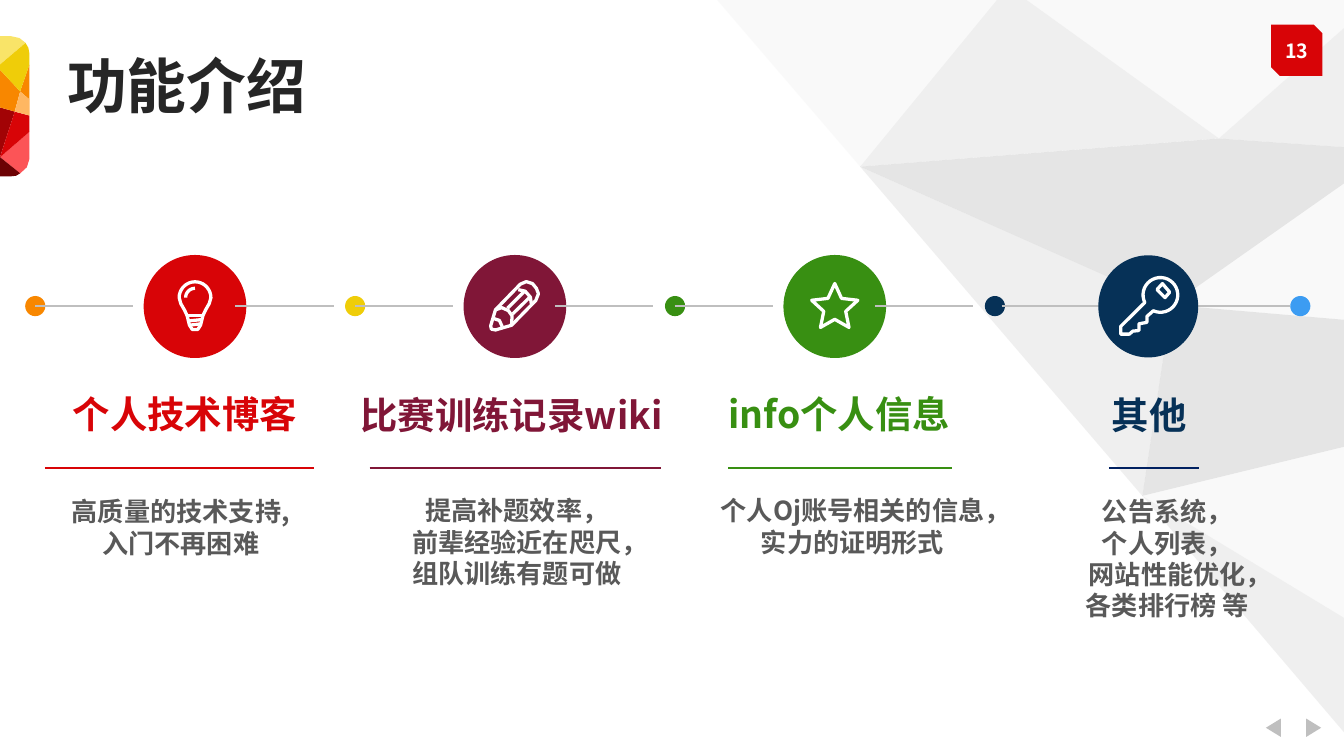
"""Build the feature introduction slide with its four-stage timeline."""
from dataclasses import dataclass
from math import cos, radians, sin

from lxml.etree import SubElement
from pptx import Presentation
from pptx.dml.color import RGBColor
from pptx.enum.shapes import MSO_CONNECTOR, MSO_SHAPE
from pptx.enum.text import MSO_ANCHOR, PP_ALIGN
from pptx.oxml.ns import qn
from pptx.util import Pt

FONT = "Noto Sans CJK SC"
WHITE, RED, WINE, GREEN, NAVY = "FFFFFF", "D80407", "801637", "388F12", "063157"
ORANGE, YELLOW, SKY, SILVER = "F88700", "EFCD09", "3C9CF2", "BFBFBF"
AXIS_Y, RULE_Y, PITCH = 164, 250.6, 171.36
Point = tuple[float, float]
Box = tuple[float, float, float, float]


@dataclass
class Facet:
    color: str
    corners: list[Point]


@dataclass
class Stroke:
    points: list[Point]
    closed: bool = False


@dataclass
class Stage:
    heading: str
    color: str
    rule_color: str
    rule: Point
    heading_box: Box
    details: list[str]
    details_box: Box
    badge: Box
    icon: list[Stroke]


def paint(target, color: str) -> None:
    target.solid()
    target.fore_color.rgb = RGBColor.from_string(color)


def arc(center: Point, radius: float, start: int, end: int) -> list[Point]:
    return [(center[0] + radius * cos(radians(a)), center[1] + radius * sin(radians(a)))
            for a in range(start, end + 1, 10)]


def draw_outline(shapes, points: list[Point], closed: bool = True):
    (x, y), *rest = points
    builder = shapes.build_freeform(Pt(x), Pt(y))
    builder.add_line_segments([(Pt(a), Pt(b)) for a, b in rest], close=closed)
    outline = builder.convert_to_shape()
    outline.shadow.inherit = False
    return outline


def draw_facet(shapes, facet: Facet, opacity: int = 100) -> None:
    polygon = draw_outline(shapes, facet.corners)
    paint(polygon.fill, facet.color)
    polygon.line.fill.background()
    if opacity < 100:
        tint = polygon.fill._xPr.find(".//" + qn("a:srgbClr"))
        SubElement(tint, qn("a:alpha"), val=str(opacity * 1000))


def draw_preset(shapes, kind: MSO_SHAPE, box: Box, color: str):
    preset = shapes.add_shape(kind, *map(Pt, box))
    preset.shadow.inherit = False
    paint(preset.fill, color)
    preset.line.fill.background()
    return preset


def draw_line(shapes, left: float, right: float, y: float, color: str) -> None:
    line = shapes.add_connector(MSO_CONNECTOR.STRAIGHT, Pt(left), Pt(y), Pt(right), Pt(y))
    paint(line.line.fill, color)
    line.line.width = Pt(1)
    SubElement(line._element.spPr, qn("a:effectLst"))


def write(frame, lines: list[str], size: float, color: str, align=PP_ALIGN.CENTER) -> None:
    for index, text in enumerate(lines):
        paragraph = frame.paragraphs[0] if index == 0 else frame.add_paragraph()
        paragraph.text = text
        paragraph.alignment = align
        font = paragraph.font
        font.size, font.bold, font.name = Pt(size), True, FONT
        paint(font.fill, color)
        SubElement(paragraph._p.pPr.find(qn("a:defRPr")), qn("a:ea"), typeface=FONT)


def add_text(shapes, box: Box, lines: list[str], size: float, color: str) -> None:
    frame = shapes.add_textbox(*map(Pt, box)).text_frame
    frame.word_wrap = True
    write(frame, lines, size, color)


def draw_badge(shapes, stage: Stage) -> None:
    left, top, width, height = stage.badge
    draw_preset(shapes, MSO_SHAPE.OVAL, stage.badge, stage.color)
    for stroke in stage.icon:
        points = [(left + width / 2 + x, top + height / 2 + y) for x, y in stroke.points]
        outline = draw_outline(shapes, points, stroke.closed)
        outline.fill.background()
        paint(outline.line.fill, WHITE)
        outline.line.width = Pt(1.75)


def background_facets() -> list[Facet]:
    apex, corner, far_left = (540, -7.2), (745.2, -7.2), (378, -7.2)
    hub, west, center, south = (653, 74.2), (460.8, 89.3), (627.5, 163.4), (612, 265.7)
    east = [(745.2, y) for y in (80.6, 173.5, 233.3, 346.3, 421.9)]
    pale, light, mid = "F2F2F2", "D9D9D9", SILVER
    return [
        Facet(pale, [hub, apex, corner]), Facet(light, [hub, corner, east[0]]),
        Facet(light, [apex, hub, west]), Facet(mid, [west, hub, east[0], center]),
        Facet(light, [west, center, south]), Facet(pale, [center, east[0], east[1]]),
        Facet(mid, [center, east[1], east[2], south]), Facet(pale, [south, east[2], east[3]]),
        Facet(light, [south, east[3], east[4]]), Facet(pale, [apex, west, far_left]),
    ]


def ribbon_facets() -> list[Facet]:
    fork, knot, low, upper = (7.9, 59.8), (10.8, 49), (0, 84.2), (0, 37.4)
    top_arc, low_arc = (13.7, 23), (10.8, 92.9)
    return [
        Facet("FC5457", [(15.8, 70.6), low, low_arc, (14.4, 89.6), (15.8, 85)]),
        Facet("A20305", [fork, (0, 57.6), low]),
        Facet(RED, [fork, low, (15.8, 70.6), (15.8, 61.9)]),
        Facet("6C0204", [low_arc, low, (0, 94.5), (5.8, 94.5), (8.6, 94.2)]),
        Facet("F9E468", [(0, 34.6), top_arc, (10.4, 20.4), (5.8, 19.4), (0, 19.4)]),
        Facet(ORANGE, [(15.8, 34.6), knot, (15.8, 53.3)]),
        Facet(ORANGE, [fork, knot, upper, (0, 57.6)]),
        Facet(YELLOW, [upper, knot, (15.8, 34.6), (15.8, 28.8), (15.2, 25.6), top_arc, (0, 34.6)]),
        Facet("FFB762", [(15.8, 53.3), knot, fork, (15.8, 61.9)]),
    ]


BULB = [
    Stroke(arc((0, -4.7), 8.5, 180, 360) + [(7.6, -1.5), (5.6, 2), (4.2, 5), (3, 10), (1.5, 12.3),
           (-1.5, 12.3), (-3, 10), (-4.2, 5), (-5.6, 2), (-7.6, -1.5)], True),
    Stroke([(-4.2, 5), (4.2, 5)]), Stroke([(-3.6, 7.7), (3.6, 7)]),
    Stroke([(-3, 10), (3, 9.3)]), Stroke(arc((0, -4.7), 5, 180, 270)),
]
PENCIL = [
    Stroke([(-13, 10.4), (-10.4, 1.8), (2.9, -11.9), (6.1, -13.3), (9.4, -12.2), (11.5, -9.7),
            (12.6, -6.8), (11.2, -3.2), (-1.8, 10.1), (-10.4, 12.6), (-12.6, 12.2)], True),
    Stroke([(-10.4, 1.8), (-7, 0.6), (-3.5, 2.2), (-1.5, 5), (-1.8, 10.1)]),
    Stroke([(1.8, -9), (5.5, -8.2), (8.3, -5), (8.8, -1.5)]),
    Stroke([(-4, 1), (5, -8)]), Stroke([(-1.2, 4), (8, -5)]),
    Stroke([(-11.5, 6.4), (-8.3, 7.5), (-6.8, 10.8)]),
]
STAR = [Stroke([arc((0, 0.7), 6.2 if i % 2 else 13, 36 * i - 90, 36 * i - 90)[0]
                for i in range(10)], True)]
KEY = [
    Stroke(arc((6.5, -6.1), 9.3, 154, 475) + [(-0.7, 5.4), (-0.7, 8.6), (-5, 9.4), (-5, 13),
           (-8.3, 13.3), (-10.1, 14.9), (-14.8, 14.9), (-14.8, 10.8)], True),
    Stroke([(4.7, -9), (7.6, -12.2), (11.5, -7.6), (9, -4.7)], True),
]
STAGES = [
    Stage("个人技术博客", RED, RED, (24, 168), (13.4, 205.9, 171.4, 31.7),
          ["高质量的技术支持,", "入门不再困难"], (14.8, 262.1, 164.2, 58.3),
          (77, 136.6, 55, 55.2), BULB),
    Stage("比赛训练记录wiki", WINE, WINE, (198, 354.2), (180, 206.6, 188, 31.7),
          ["提高补题效率，", "前辈经验近在咫尺，", "组队训练有题可做"], (211, 261.4, 131.8, 74.9),
          (77 + PITCH, 136.6, 55, 55.2), PENCIL),
    Stage("info个人信息", GREEN, GREEN, (390.2, 509.8), (367.2, 205.9, 164.9, 31.7),
          ["个人Oj账号相关的信息，", "实力的证明形式"], (375.1, 261.4, 163.4, 41),
          (77 + 2 * PITCH, 136.6, 55, 55.2), STAR),
    Stage("其他 ", NAVY, "002060", (594, 642.2), (536.9, 206.6, 162, 31.7),
          ["公告系统，", "个人列表，", "网站性能优化，", "各类排行榜 等"], (571.4, 262, 108, 92.2),
          (588.4, 136.8, 53.5, 54.7), KEY),
]


def main() -> None:
    deck = Presentation()
    deck.slide_width, deck.slide_height = Pt(720), Pt(405)
    shapes = deck.slides.add_slide(deck.slide_layouts[6]).shapes

    for facet in background_facets():
        draw_facet(shapes, facet, 40)
    for base, tip in ((686.2, 678.2), (699.8, 707.8)):
        draw_facet(shapes, Facet(SILVER, [(base, 385), (tip, 389.9), (base, 394.8)]))
    page = draw_preset(shapes, MSO_SHAPE.SNIP_2_DIAG_RECTANGLE, (681, 13.2, 27.4, 27.4), RED)
    page.text_frame.word_wrap = False
    write(page.text_frame, ["13"], 10.5, WHITE)

    title = shapes.add_textbox(Pt(36), Pt(32.2), Pt(378), Pt(31.7)).text_frame
    title.word_wrap = True
    title.vertical_anchor = MSO_ANCHOR.MIDDLE
    title.margin_left = title.margin_top = title.margin_right = title.margin_bottom = 0
    write(title, ["功能介绍"], 32, "262626", PP_ALIGN.LEFT)
    title.paragraphs[0].line_spacing = 0.9
    for facet in ribbon_facets():
        draw_facet(shapes, facet)

    for index, color in enumerate((ORANGE, YELLOW, GREEN, NAVY, SKY)):
        left = 13.5 + PITCH * index if index < 4 else 691.2
        draw_preset(shapes, MSO_SHAPE.OVAL, (left, AXIS_Y - 5.4, 10.8, 10.8), color)
    for stage in STAGES[:3]:
        draw_badge(shapes, stage)
    link_starts = [start + PITCH * i for i in range(3) for start in (18.7, 126)]
    for start in link_starts + [536.6, 638.2]:
        draw_line(shapes, start, start + 52.7, AXIS_Y, SILVER)
    draw_badge(shapes, STAGES[3])
    for stage in STAGES:
        add_text(shapes, stage.heading_box, [stage.heading], 20, stage.color)
        draw_line(shapes, *stage.rule, RULE_Y, stage.rule_color)
        add_text(shapes, stage.details_box, stage.details, 14, "595959")
    deck.save("out.pptx")


if __name__ == "__main__":
    main()
